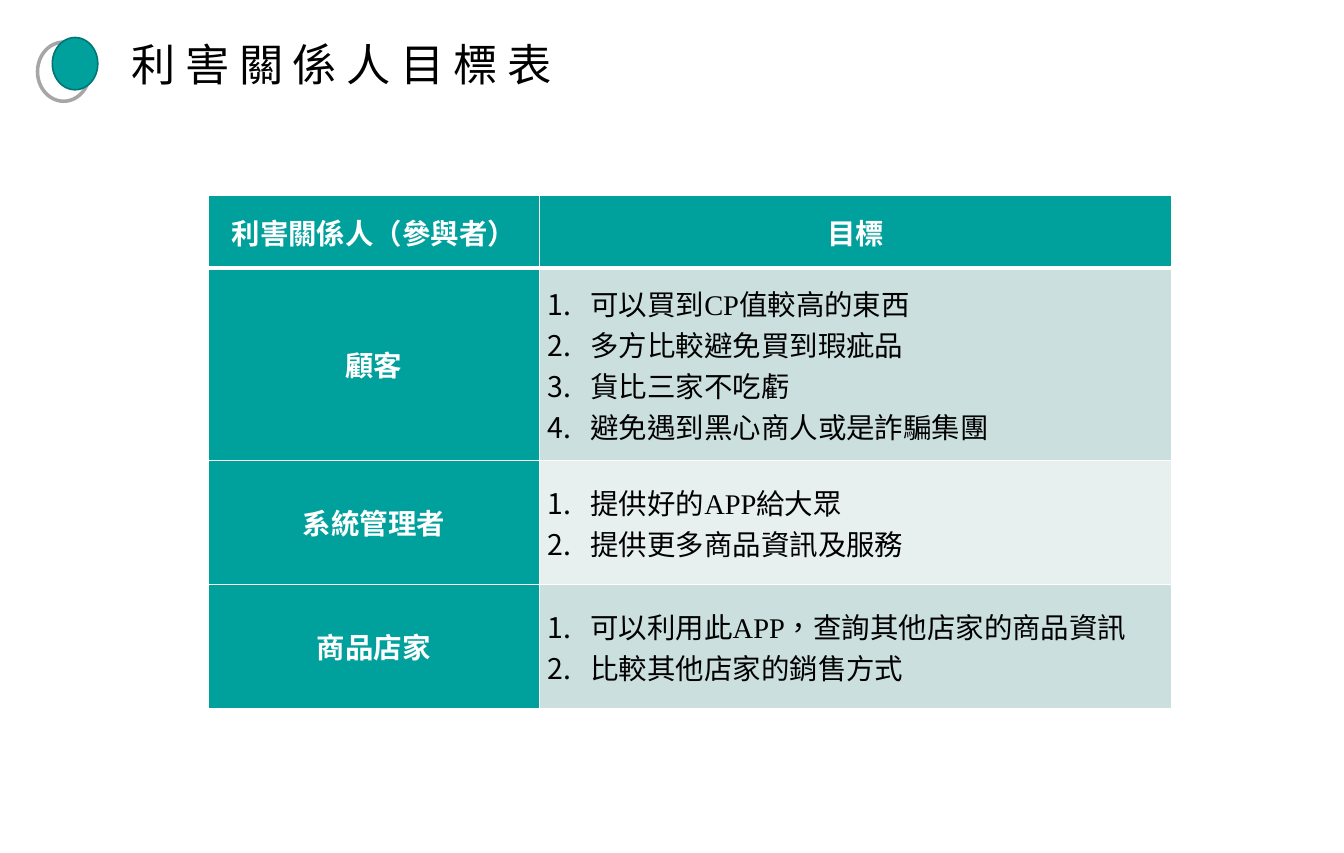
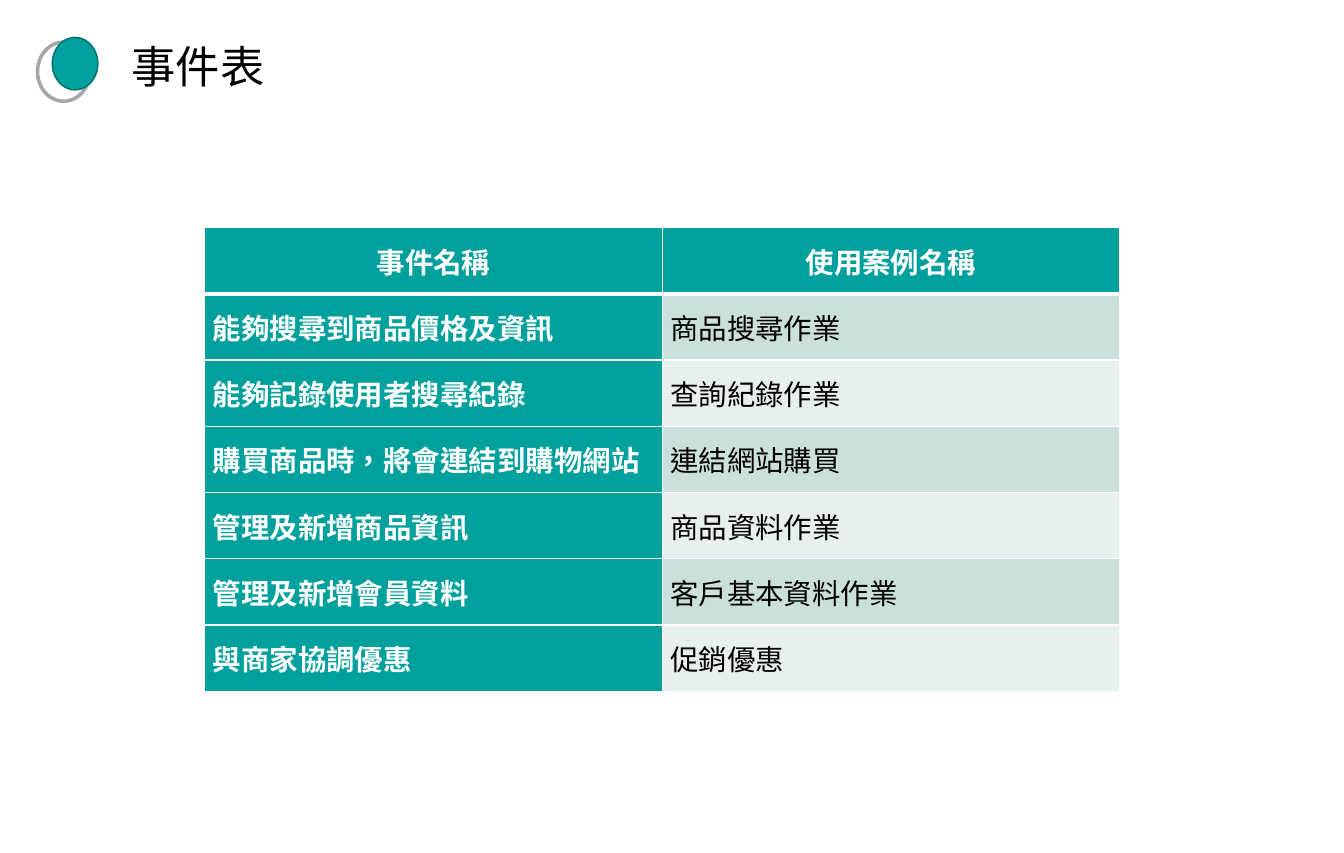
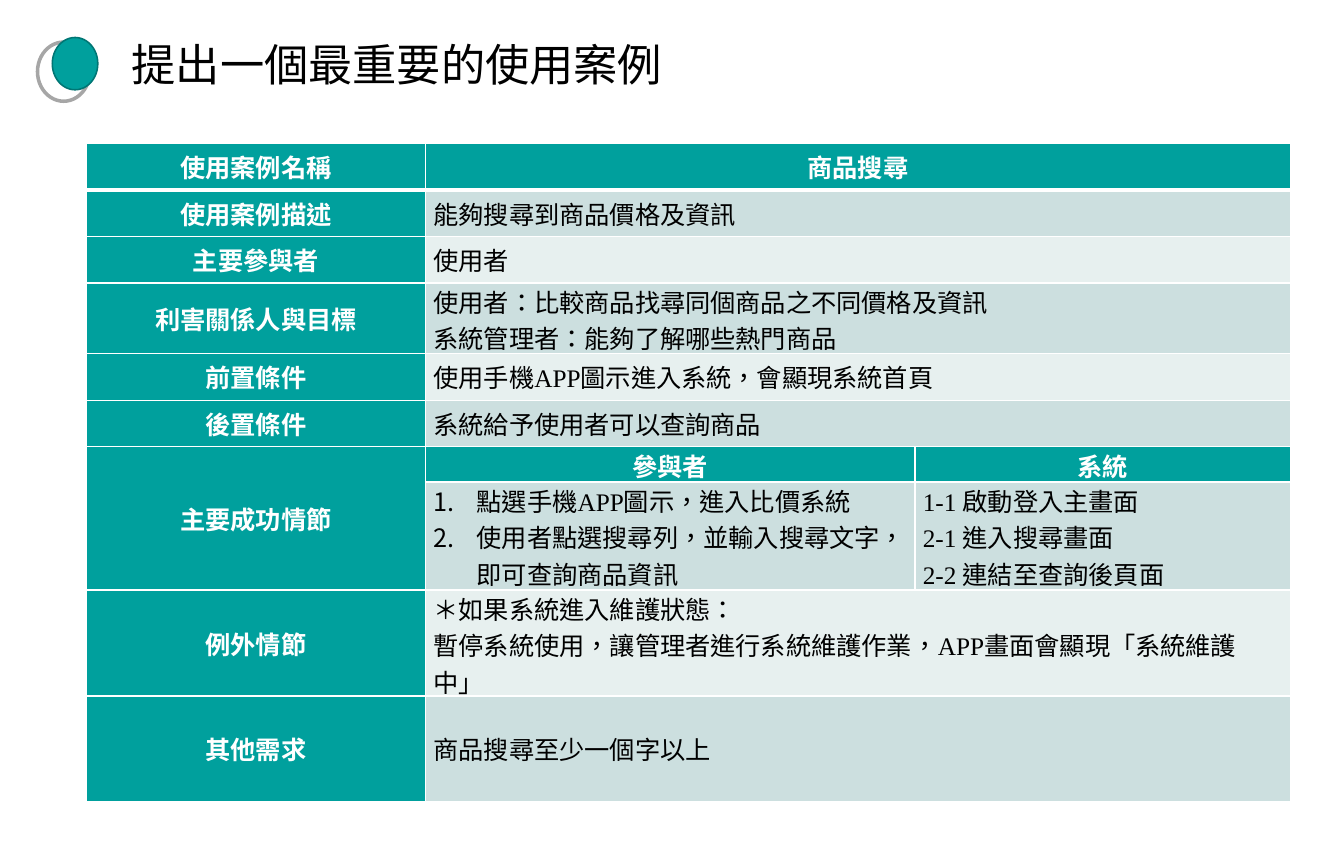
from dataclasses import dataclass

from lxml import etree
from pptx import Presentation
from pptx.dml.color import RGBColor
from pptx.enum.lang import MSO_LANGUAGE_ID
from pptx.enum.shapes import MSO_SHAPE
from pptx.enum.text import MSO_ANCHOR, PP_ALIGN
from pptx.oxml.ns import qn
from pptx.util import Inches, Pt

ELLIPSE = MSO_SHAPE.OVAL
MIDDLE = MSO_ANCHOR.MIDDLE
LEFT, CENTER = PP_ALIGN.LEFT, PP_ALIGN.CENTER
CHINESE = MSO_LANGUAGE_ID.TRADITIONAL_CHINESE
SLIDE_WIDTH, SLIDE_HEIGHT = Inches(30 / 2.54), Inches(7.5)


@dataclass(frozen=True)
class Theme:
    font: str = "Times New Roman"
    teal: str = "00A09D"
    teal_edge: str = "007674"
    ring: str = "A6A6A6"
    band_dark: str = "CCDFDF"
    band_light: str = "E7F0EF"
    white: str = "FFFFFF"
    black: str = "000000"
    title_size: float = 28
    table_size: float = 18
    dense_size: float = 16
    grid_width: float = 1
    header_rule: float = 3


@dataclass(frozen=True)
class Numbered:
    lines: tuple


class Deck:
    def __init__(self, prs, theme):
        self.prs = prs
        self.theme = theme
        self.slide = None

    def add_slide(self, title, title_width, title_top=0.28, spacing=0):
        self.slide = self.prs.slides.add_slide(self.prs.slide_layouts[6])
        self.badge()
        self.title(title, title_width, title_top, spacing)

    def badge(self):
        theme = self.theme
        group = self.slide.shapes.add_group_shape()
        for box, fill, edge, width in (
            ((0.33, 0.37, 0.46, 0.52), None, theme.ring, 2.25),
            ((0.46, 0.33, 0.4, 0.46), theme.teal, theme.teal_edge, 1),
        ):
            disc = group.shapes.add_shape(ELLIPSE, *map(Inches, box))
            disc.shadow.inherit = False
            if fill:
                disc.fill.solid()
                disc.fill.fore_color.rgb = RGBColor.from_string(fill)
            else:
                disc.fill.background()
            disc.line.color.rgb = RGBColor.from_string(edge)
            disc.line.width = Pt(width)

    def title(self, text, width, top, spacing):
        box = self.slide.shapes.add_textbox(
            Inches(1.06), Inches(top), Inches(width), Inches(0.57))
        box.text_frame.word_wrap = True
        paragraph = box.text_frame.paragraphs[0]
        paragraph.text = text
        self.style(paragraph, self.theme.title_size, self.theme.black)
        if spacing:
            defaults = paragraph._p.pPr.find(qn("a:defRPr"))
            defaults.set("spc", str(spacing * 100))

    def style(self, paragraph, size, color, bold=False):
        font = paragraph.font
        font.name, font.size, font.bold = self.theme.font, Pt(size), bold
        font.color.rgb = RGBColor.from_string(color)
        font.language_id = CHINESE

    def table(self, left, top, columns, heights, rows, size,
              label_align=CENTER, header_rows=(0,)):
        """Fill a table; None joins the cell on its left, or above in column 0."""
        theme = self.theme
        table = self.slide.shapes.add_table(
            len(rows), len(columns), Inches(left), Inches(top),
            Inches(sum(columns)), Inches(sum(heights))).table
        table.first_row = table.horz_banding = False
        for column, width in zip(table.columns, columns):
            column.width = Inches(width)
        for row, height in zip(table.rows, heights):
            row.height = Inches(height)

        for r, row in enumerate(rows):
            for c, content in enumerate(row):
                cell = table.cell(r, c)
                is_header = r in header_rows
                is_label = is_header or c == 0
                band = theme.band_dark if r % 2 else theme.band_light
                self.borders(cell, r)
                cell.fill.solid()
                cell.fill.fore_color.rgb = RGBColor.from_string(
                    theme.teal if is_label else band)
                if content is None:
                    origin = table.cell(r, c - 1) if c else table.cell(r - 1, c)
                    origin.merge(cell)
                    continue
                align = CENTER if is_header else label_align if is_label else LEFT
                self.cell_text(cell, content, size, align, is_label)

    def borders(self, cell, row):
        theme = self.theme
        properties = cell._tc.get_or_add_tcPr()
        thick = {0: "lnB", 1: "lnT"}.get(row)
        for side in ("lnL", "lnR", "lnT", "lnB"):
            width = theme.header_rule if side == thick else theme.grid_width
            line = etree.SubElement(properties, qn(f"a:{side}"), w=str(Pt(width)))
            fill = etree.SubElement(line, qn("a:solidFill"))
            etree.SubElement(fill, qn("a:srgbClr"), val=theme.white)

    def cell_text(self, cell, content, size, align, is_label):
        theme = self.theme
        cell.vertical_anchor = MIDDLE
        cell.margin_left = cell.margin_right = Inches(0.07)
        cell.margin_top = cell.margin_bottom = 0
        numbered = isinstance(content, Numbered)
        lines = content.lines if numbered else content.split("\n")
        frame = cell.text_frame
        for i, line in enumerate(lines):
            paragraph = frame.add_paragraph() if i else frame.paragraphs[0]
            paragraph.text = line
            paragraph.alignment = align
            if numbered:
                self.number(paragraph)
            self.style(paragraph, size,
                       theme.white if is_label else theme.black, is_label)

    def number(self, paragraph):
        properties = paragraph._p.get_or_add_pPr()
        indent = Inches(0.38)
        properties.set("marL", str(indent))
        properties.set("indent", str(-indent))
        etree.SubElement(properties, qn("a:buFont"), typeface="+mj-ea")
        etree.SubElement(properties, qn("a:buAutoNum"), type="arabicPeriod")


def main():
    theme = Theme()
    prs = Presentation()
    prs.slide_width = SLIDE_WIDTH
    prs.slide_height = SLIDE_HEIGHT
    # The default template labels its size as 4:3.
    prs.element.find(qn("p:sldSz")).attrib.pop("type", None)
    deck = Deck(prs, theme)

    deck.add_slide("利害關係人目標表", 4.07, spacing=6)
    deck.table(1.83, 1.72, (2.91, 5.56), (0.64, 1.69, 1.09, 1.09), [
        ("利害關係人（參與者）", "目標"),
        ("顧客", Numbered(("可以買到CP值較高的東西", "多方比較避免買到瑕疵品",
                         "貨比三家不吃虧", "避免遇到黑心商人或是詐騙集團"))),
        ("系統管理者", Numbered(("提供好的APP給大眾", "提供更多商品資訊及服務"))),
        ("商品店家", Numbered(("可以利用此APP，查詢其他店家的商品資訊",
                           "比較其他店家的銷售方式"))),
    ], theme.table_size)

    deck.add_slide("事件表", 2.5, title_top=0.3)
    events = [
        ("事件名稱", "使用案例名稱"),
        ("能夠搜尋到商品價格及資訊", "商品搜尋作業"),
        ("能夠記錄使用者搜尋紀錄", "查詢紀錄作業"),
        ("購買商品時，將會連結到購物網站", "連結網站購買"),
        ("管理及新增商品資訊", "商品資料作業"),
        ("管理及新增會員資料", "客戶基本資料作業"),
        ("與商家協調優惠", "促銷優惠"),
    ]
    deck.table(1.8, 2, (4.02, 4.02), [4.08 / len(events)] * len(events),
               events, theme.table_size, label_align=LEFT)

    deck.add_slide("提出一個最重要的使用案例", 5.05)
    deck.table(
        0.76, 1.26, (2.98, 4.3, 3.3),
        (0.41, 0.41, 0.41, 0.62, 0.41, 0.41, 0.31, 0.95, 0.93, 0.93), [
            ("使用案例名稱", "商品搜尋", None),
            ("使用案例描述", "能夠搜尋到商品價格及資訊", None),
            ("主要參與者", "使用者", None),
            ("利害關係人與目標",
             "使用者：比較商品找尋同個商品之不同價格及資訊\n"
             "系統管理者：能夠了解哪些熱門商品", None),
            ("前置條件", "使用手機APP圖示進入系統，會顯現系統首頁", None),
            ("後置條件", "系統給予使用者可以查詢商品", None),
            ("主要成功情節", "參與者", "系統"),
            (None,
             Numbered(("點選手機APP圖示，進入比價系統",
                       "使用者點選搜尋列，並輸入搜尋文字，即可查詢商品資訊")),
             "1-1 啟動登入主畫面\n2-1 進入搜尋畫面\n2-2 連結至查詢後頁面"),
            ("例外情節",
             "＊如果系統進入維護狀態：\n"
             "暫停系統使用，讓管理者進行系統維護作業，APP畫面會顯現「系統維護中」",
             None),
            ("其他需求", "商品搜尋至少一個字以上", None),
        ], theme.dense_size, header_rows=(0, 6))

    prs.save("out.pptx")


if __name__ == "__main__":
    main()
